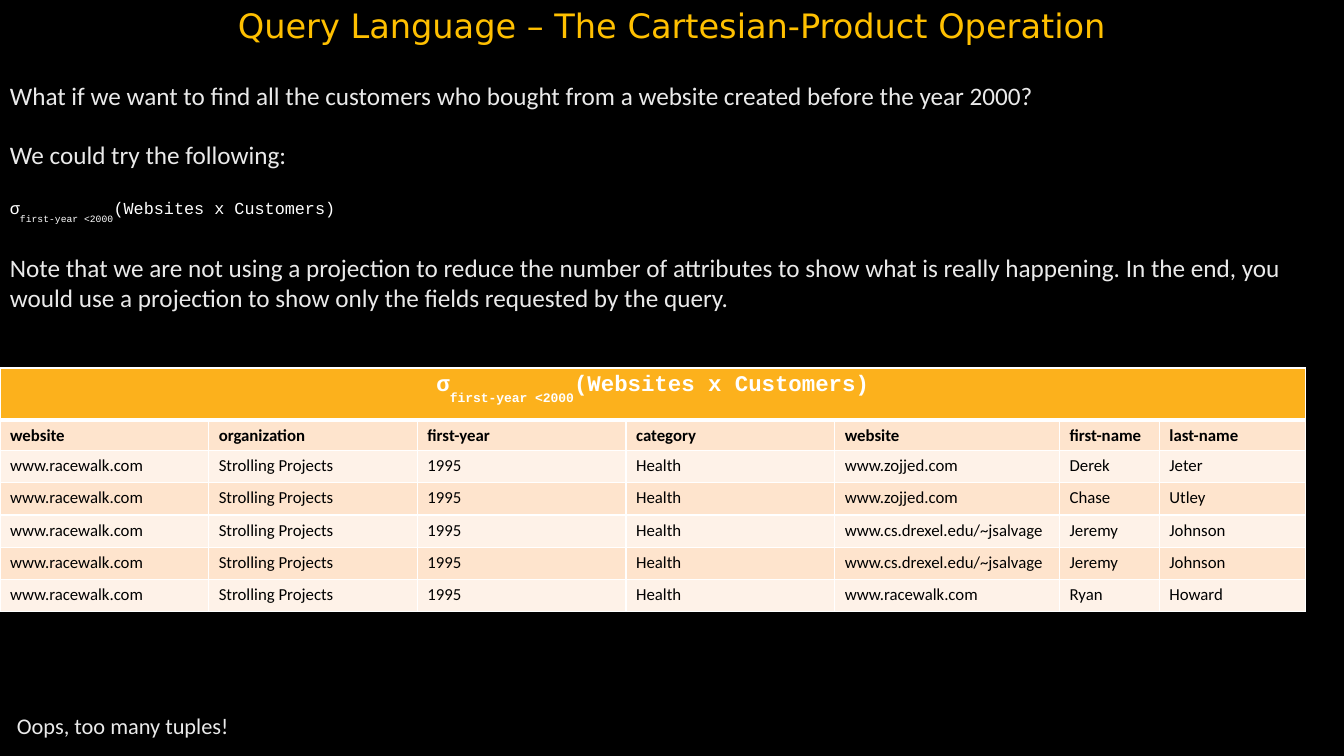
from dataclasses import dataclass

from lxml.etree import SubElement
from pptx import Presentation
from pptx.dml.color import RGBColor
from pptx.enum.text import MSO_ANCHOR, PP_ALIGN
from pptx.oxml.ns import qn
from pptx.util import Inches, Pt

BLACK = RGBColor(0x00, 0x00, 0x00)
WHITE = RGBColor(0xFF, 0xFF, 0xFF)
PALE = RGBColor(0xEA, 0xEA, 0xEA)
GOLD = RGBColor(0xFF, 0xC0, 0x00)
AMBER = RGBColor(0xFC, 0xB1, 0x1C)
PEACH = RGBColor(0xFE, 0xE4, 0xCD)
CREAM = RGBColor(0xFE, 0xF2, 0xE8)


@dataclass(frozen=True)
class Style:
    size: int
    name: str
    color: RGBColor
    bold: bool = False


@dataclass(frozen=True)
class Line:
    """One paragraph; each chunk is a text and its baseline shift in percent."""
    chunks: tuple[tuple[str, int], ...]
    style: Style
    align: PP_ALIGN = PP_ALIGN.LEFT
    before: int = 0


@dataclass(frozen=True)
class Box:
    left: float
    top: float
    width: float
    height: float
    lines: tuple[Line, ...]
    anchor: MSO_ANCHOR = MSO_ANCHOR.TOP


def plain(text: str, style: Style, align: PP_ALIGN = PP_ALIGN.LEFT,
          before: int = 0) -> Line:
    return Line(((text, 0),), style, align, before)


HEAD = Style(24, "DejaVu Sans", GOLD)
BODY = Style(18, "Calibri", PALE)
NOTE = Style(16, "Calibri", PALE)
CODE = Style(12, "Courier New", WHITE)
TITLE = Style(16, "Courier New", WHITE, True)
LABEL = Style(12, "Calibri", BLACK, True)
DATA = Style(12, "Calibri", BLACK)

QUERY = (("σ", 0), ("first-year <2000", -50), ("(Websites x Customers)", 0))
GAP = 20

BOXES = (
    Box(0, 0, 13.33, 0.5, (
        plain("Query Language – The Cartesian-Product Operation", HEAD,
              PP_ALIGN.CENTER),), MSO_ANCHOR.BOTTOM),
    Box(0, 0.75, 13.33, 0.43, (
        plain("What if we want to find all the customers who bought from a "
              "website created before the year 2000?", BODY),)),
    Box(0, 1.33, 13.33, 1.75, (
        plain("We could try the following:", BODY),
        Line(QUERY, CODE, before=GAP),
        plain("Note that we are not using a projection to reduce the number "
              "of attributes to show what is really happening. In the end, "
              "you would use a projection to show only the fields requested "
              "by the query.", BODY, before=GAP))),
    Box(0.07, 7.02, 10, 0.37, (plain("Oops, too many tuples!", NOTE),)),
)

FIELDS = ("website", "organization", "first-year", "category", "website",
          "first-name", "last-name")
SITE = ("www.racewalk.com", "Strolling Projects", "1995", "Health")
BUYERS = (
    ("www.zojjed.com", "Derek", "Jeter"),
    ("www.zojjed.com", "Chase", "Utley"),
    ("www.cs.drexel.edu/~jsalvage", "Jeremy", "Johnson"),
    ("www.cs.drexel.edu/~jsalvage", "Jeremy", "Johnson"),
    ("www.racewalk.com", "Ryan", "Howard"),
)
WIDTHS = (2.07,) * 4 + (2.23, 0.99, 1.45)
HEIGHTS = (0.52, 0.3) + (0.32,) * len(BUYERS)


def write(frame, lines: tuple[Line, ...]) -> None:
    for index, line in enumerate(lines):
        para = frame.add_paragraph() if index else frame.paragraphs[0]
        para.alignment = line.align
        if line.before:
            para.space_before = Pt(line.before)
        form = {"size": Pt(line.style.size), "name": line.style.name,
                "bold": line.style.bold}
        for text, shift in line.chunks:
            run = para.add_run()
            run.text = text
            for key, value in form.items():
                setattr(run.font, key, value)
            run.font.color.rgb = line.style.color
            if shift:
                run._r.get_or_add_rPr().set("baseline", str(shift * 1000))


def draw_box(slide, box: Box) -> None:
    shape = slide.shapes.add_textbox(*map(
        Inches, (box.left, box.top, box.width, box.height)))
    frame = shape.text_frame
    frame.word_wrap = True
    frame.vertical_anchor = box.anchor
    write(frame, box.lines)


def paint(cell, fill: RGBColor, edges: dict[str, int]) -> None:
    """Set the white borders of a cell, in points by side, and its fill."""
    props = cell._tc.get_or_add_tcPr()
    for side, width in edges.items():
        edge = SubElement(props, qn(f"a:ln{side}"), w=str(Pt(width)))
        solid = SubElement(edge, qn("a:solidFill"))
        SubElement(solid, qn("a:srgbClr"), val=str(WHITE))
    cell.fill.solid()
    cell.fill.fore_color.rgb = fill


def draw_table(slide) -> None:
    rows = [FIELDS] + [SITE + buyer for buyer in BUYERS]
    table = slide.shapes.add_table(
        len(HEIGHTS), len(WIDTHS), Inches(0), Inches(3.65),
        Inches(sum(WIDTHS)), Inches(sum(HEIGHTS))).table
    for column, width in zip(table.columns, WIDTHS):
        column.width = Inches(width)
    for row, height in zip(table.rows, HEIGHTS):
        row.height = Inches(height)

    top = table.cell(0, 0)
    top.merge(table.cell(0, len(WIDTHS) - 1))
    write(top.text_frame, (Line(QUERY, TITLE, PP_ALIGN.CENTER),))
    for col in range(len(WIDTHS)):
        paint(table.cell(0, col), AMBER, {"L": 1, "R": 1, "T": 1, "B": 3})

    for index, texts in enumerate(rows, 1):
        first = index == 1
        edges = {"L": 1, "R": 1, "T": 3 if first else 1, "B": 1}
        for col, text in enumerate(texts):
            cell = table.cell(index, col)
            paint(cell, PEACH if index % 2 else CREAM, edges)
            write(cell.text_frame, (plain(text, LABEL if first else DATA),))


def main() -> None:
    deck = Presentation()
    deck.slide_width, deck.slide_height = Inches(13.33), Inches(7.5)
    slide = deck.slides.add_slide(deck.slide_layouts[6])
    slide.background.fill.solid()
    slide.background.fill.fore_color.rgb = BLACK
    for box in BOXES:
        draw_box(slide, box)
    draw_table(slide)
    deck.save("out.pptx")


if __name__ == "__main__":
    main()
